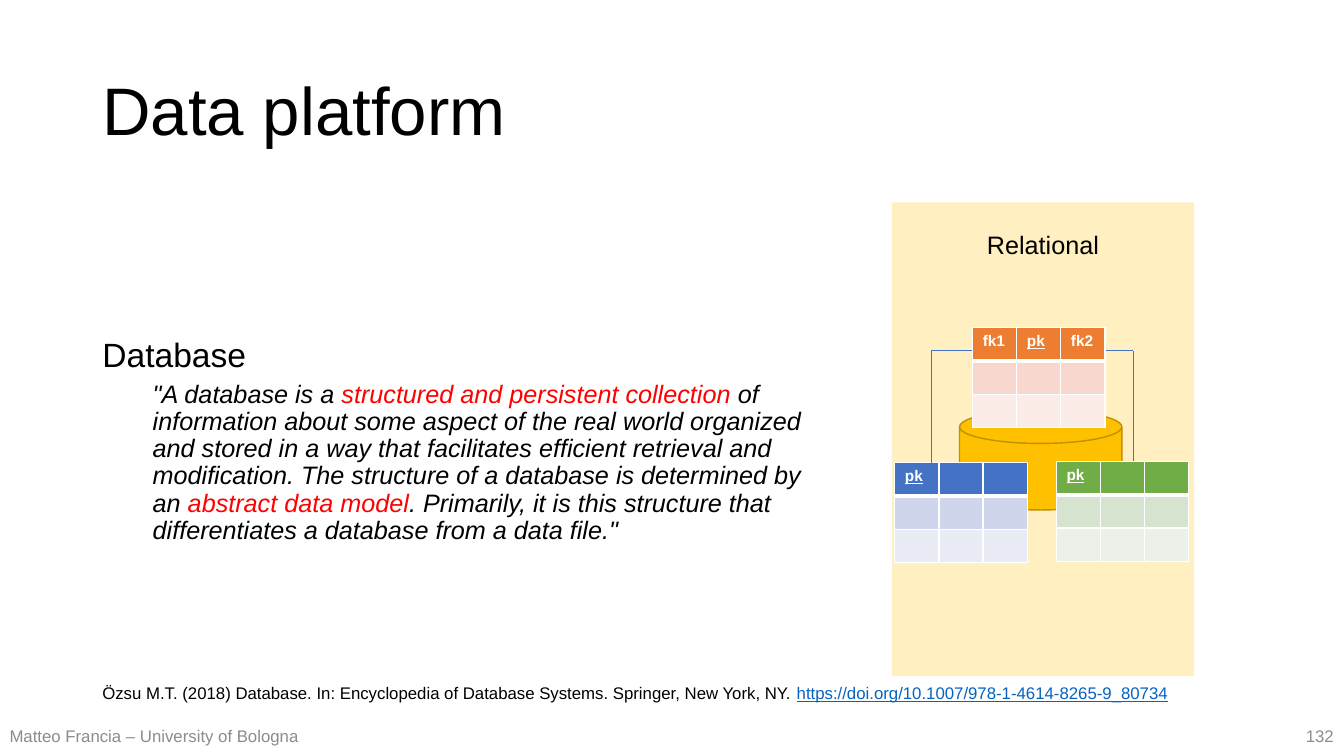
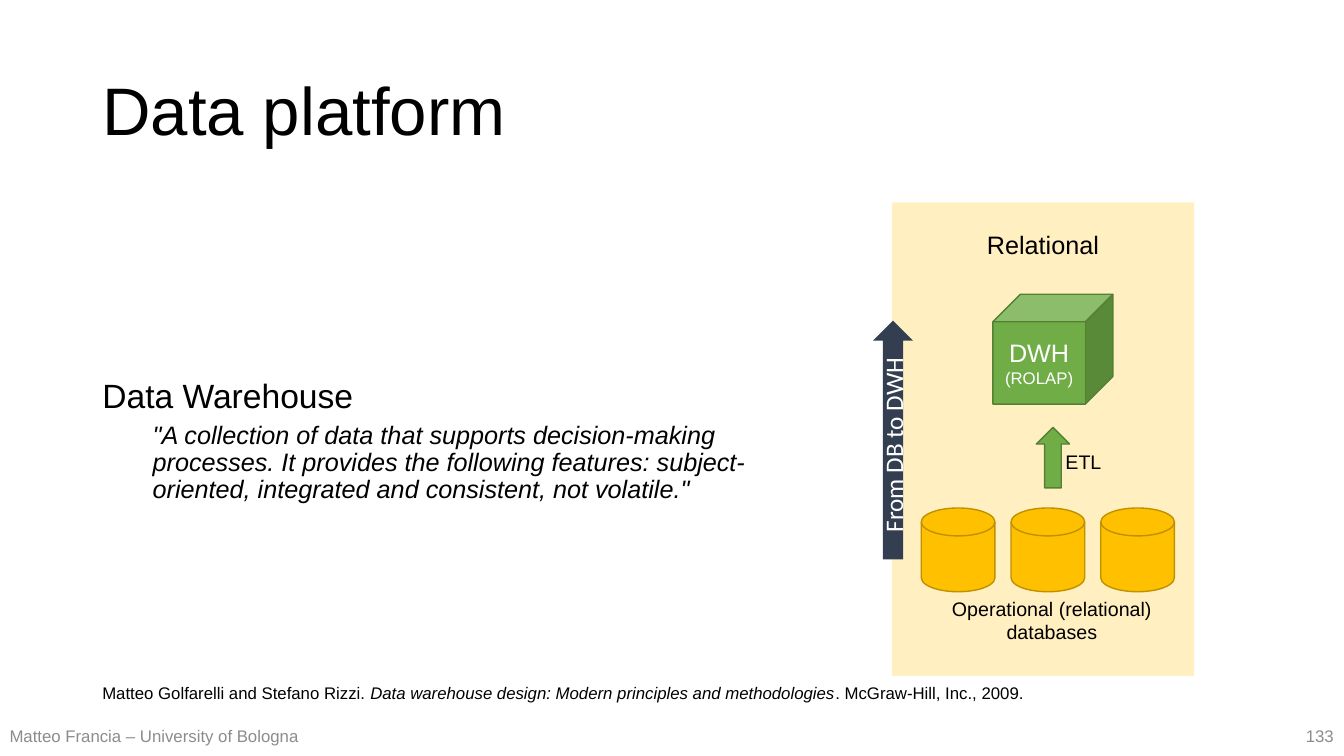
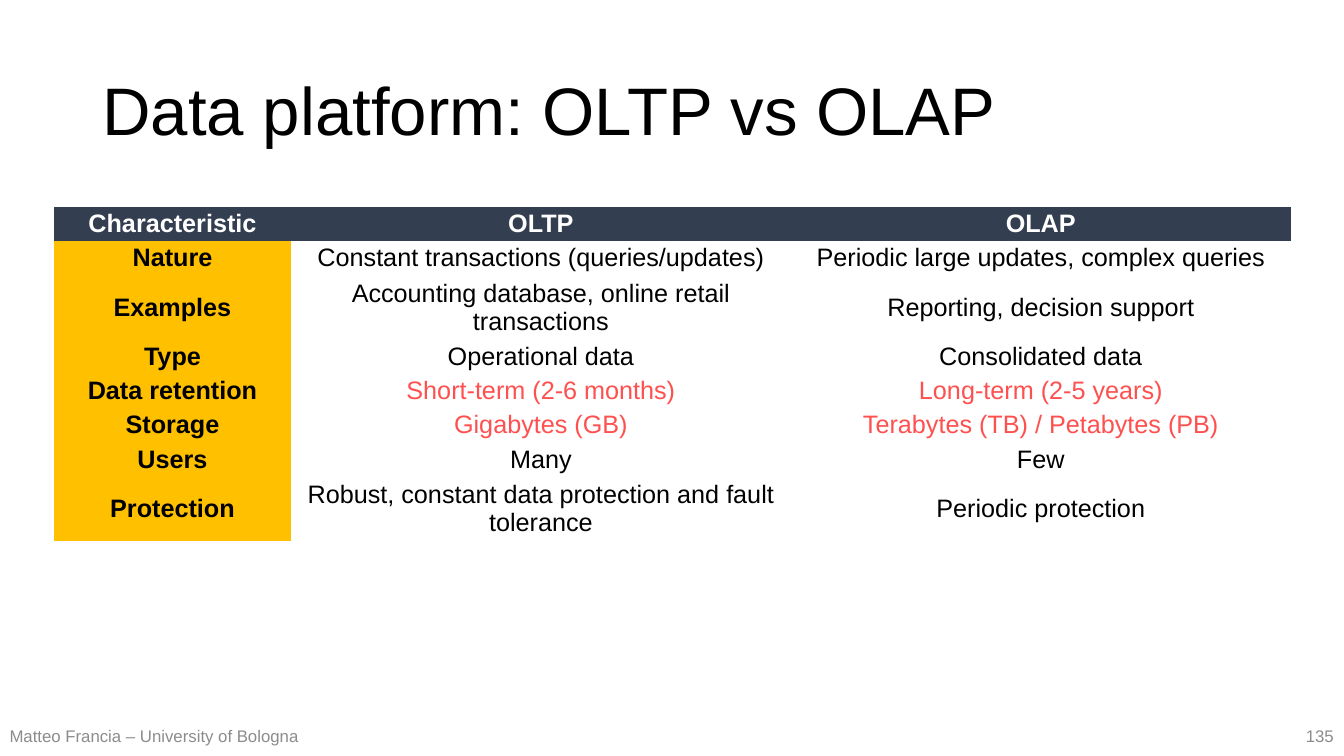
from lxml.etree import SubElement
from pptx import Presentation
from pptx.dml.color import RGBColor
from pptx.enum.shapes import MSO_CONNECTOR, MSO_SHAPE
from pptx.enum.text import MSO_ANCHOR, MSO_AUTO_SIZE, PP_ALIGN
from pptx.oxml.ns import qn
from pptx.util import Pt

# Shared look
FONT = "Arial"
BLACK, WHITE, GREY = "000000", "FFFFFF", "8C8C8C"
RED, CORAL, LINK = "FF0000", "FF5050", "0563C1"
NAVY, GOLD, OCHRE = "333F50", "FFC000", "BF9000"
GREEN, MOSS, BLUE, SAND = "70AD47", "538035", "4472C4", "FFD966"
SIDES = {"l": PP_ALIGN.LEFT, "c": PP_ALIGN.CENTER, "r": PP_ALIGN.RIGHT}
LEVELS = {"t": MSO_ANCHOR.TOP, "m": MSO_ANCHOR.MIDDLE}
NO_GRID = "{2D5ABB26-0587-4C30-8999-92F81FD0307C}"
TITLE = (66, 28.8, 828, 104.4)
BODY = (66, 144, 529.2, 342.7)
CITE = (66, 481.7, 828, 28.8)
PANEL = (637, 144.5, 216, 338.4)
AUTHOR = "Matteo Francia – University of Bologna"

# Content: a paragraph is a list of runs, a run is text or (text, format)
DATABASE = [
    '"A database is a ',
    ("structured and persistent collection", {"color": RED}),
    " of information about some aspect of the real world organized and stored "
    "in a way that facilitates efficient retrieval and modification. The "
    "structure of a database is determined by an ",
    ("abstract data model", {"color": RED}),
    ". Primarily, it is this structure that differentiates a database from a "
    'data file."',
]
WAREHOUSE = [
    '"A collection of data that supports decision-making processes. It '
    "provides the following features: subject-oriented, integrated and "
    'consistent, not volatile."',
]
OZSU = [
    "Özsu M.T. (2018) Database. In: Encyclopedia of Database Systems. "
    "Springer, New York, NY. ",
    ("https://doi.org/10.1007/978-1-4614-8265-9_80734",
     {"color": LINK, "line": True}),
]
RIZZI = [
    "Matteo Golfarelli and Stefano Rizzi. ",
    ("Data warehouse design: Modern principles and methodologies",
     {"italic": True}),
    ". McGraw-Hill, Inc., 2009.",
]
# Small tables: left, top, header texts, fills of the three rows
FACT = (694.8, 234, ["fk1", "pk", "fk2"], ["ED7D31", "F8D7CE", "FCECE8"])
DIMS = [
    (639.2, 330.6, ["pk", "", ""], [BLUE, "CFD5EA", "E9EBF5"]),
    (754.6, 329.6, ["pk", "", ""], [GREEN, "D5E3CF", "EBF1E9"]),
]
CELL, ROW = 31.5, 23.8
VERSUS = [
    ("Characteristic", "OLTP", "OLAP"),
    ("Nature", "Constant transactions (queries/updates)",
     "Periodic large updates, complex queries"),
    ("Examples", "Accounting database, online retail transactions",
     "Reporting, decision support"),
    ("Type", "Operational data", "Consolidated data"),
    ("Data retention", "Short-term (2-6 months)", "Long-term (2-5 years)"),
    ("Storage", "Gigabytes (GB)", "Terabytes (TB) / Petabytes (PB)"),
    ("Users", "Many", "Few"),
    ("Protection", "Robust, constant data protection and fault tolerance",
     "Periodic protection"),
]
WIDTHS = [169.2, 357.1, 357.1]
TALL = {"Examples", "Protection"}
STRESS = {"Data retention", "Storage"}


def paint(hue):
    return RGBColor.from_string(hue)


def write(frame, paras, size=18, color=BLACK, font=FONT, bold=False,
          italic=False, line=False, side="l", level="m", space=None, wrap=True):
    """Fill a text frame; a paragraph is a string, a run list, or (runs, format)."""
    frame.word_wrap = wrap
    frame.vertical_anchor = LEVELS[level]
    base = dict(size=size, color=color, font=font, bold=bold,
                italic=italic, line=line)
    for i, item in enumerate(paras):
        runs, own = item if isinstance(item, tuple) else (item, {})
        para = frame.add_paragraph() if i else frame.paragraphs[0]
        para.alignment = SIDES[side]
        para.line_spacing = space
        para.space_before = Pt(own.get("before", 0))
        if "indent" in own:
            props = para._p.get_or_add_pPr()
            props.set("marL", str(Pt(own["indent"])))
            props.set("indent", "0")
        for part in [runs] if isinstance(runs, str) else runs:
            words, more = part if isinstance(part, tuple) else (part, {})
            look = {**base, **own, **more}
            run = para.add_run()
            run.text = words
            run.font.name, run.font.size = look["font"], Pt(look["size"])
            run.font.bold, run.font.italic = look["bold"], look["italic"]
            run.font.underline = look["line"]
            run.font.color.rgb = paint(look["color"])


def label(slide, at, paras, **look):
    box = slide.shapes.add_textbox(*map(Pt, at))
    write(box.text_frame, paras, **look)


def draw(slide, kind, at, fill, edge=None):
    shape = slide.shapes.add_shape(kind, *map(Pt, at))
    shape.shadow.inherit = False
    shape.fill.solid()
    shape.fill.fore_color.rgb = paint(fill)
    if edge:
        shape.line.color.rgb = paint(edge)
        shape.line.width = Pt(1)
    else:
        shape.line.fill.background()
    return shape


def link(slide, x1, y1, x2, y2):
    wire = slide.shapes.add_connector(
        MSO_CONNECTOR.STRAIGHT, *map(Pt, (x1, y1, x2, y2)))
    wire.line.color.rgb = paint(BLUE)
    wire.line.width = Pt(0.5)
    SubElement(wire._element.spPr, qn("a:effectLst"))


def grid(slide, left, top, widths, heights):
    """Add a table without any built-in style."""
    table = slide.shapes.add_table(
        len(heights), len(widths),
        *map(Pt, (left, top, sum(widths), sum(heights)))).table
    table.first_row = table.horz_banding = False
    table._tbl.tblPr.find(qn("a:tableStyleId")).text = NO_GRID
    for col, wide in zip(table.columns, widths):
        col.width = Pt(wide)
    for row, high in zip(table.rows, heights):
        row.height = Pt(high)
    return table


def border(cell, **widths):
    props = cell._tc.get_or_add_tcPr()
    for edge, wide in widths.items():
        rule = SubElement(props, qn("a:ln" + edge), w=str(Pt(wide)))
        SubElement(SubElement(rule, qn("a:solidFill")),
                   qn("a:srgbClr"), val=WHITE)


def shade(cell, hue):
    cell.fill.solid()
    cell.fill.fore_color.rgb = paint(hue)


def small(slide, left, top, heads, fills):
    table = grid(slide, left, top, [CELL] * 3, [ROW] * 3)
    for r, hue in enumerate(fills):
        for c, head in enumerate(heads):
            cell = table.cell(r, c)
            border(cell, L=1, R=1, T=1 if r != 1 else 3, B=1 if r else 3)
            shade(cell, hue)
            if head and r == 0:
                write(cell.text_frame, [head], size=11, color=WHITE,
                      bold=True, line=head == "pk", level="t")
            else:
                end = cell.text_frame.paragraphs[0]._p.get_or_add_endParaRPr()
                end.set("sz", "1100")


def page(deck, title, number):
    slide = deck.slides.add_slide(deck.slide_layouts[5])
    head = slide.shapes.title
    head.left, head.top, head.width, head.height = map(Pt, TITLE)
    head.text_frame.auto_size = MSO_AUTO_SIZE.NONE
    write(head.text_frame, [title], size=48, space=0.9)
    foot = dict(size=12, color=GREY)
    label(slide, (-1.4, 511.2, 223.2, 28.8), [AUTHOR], side="c", **foot)
    label(slide, (743.8, 511.2, 216, 28.8), [str(number)], side="r", **foot)
    return slide


def define(slide, term, quote, cite):
    """Term with its quotation, the source line and the tinted panel."""
    label(slide, BODY, [
        (term, {"size": 24}),
        (quote, {"italic": True, "indent": 36, "before": 5}),
    ], space=0.9)
    label(slide, CITE, [cite], size=12, space=0.9)
    panel = draw(slide, MSO_SHAPE.RECTANGLE, PANEL, SAND)
    tint = panel._element.spPr.find(".//" + qn("a:srgbClr"))
    SubElement(tint, qn("a:alpha"), val="40000")
    panel.text_frame.margin_top = Pt(19)
    write(panel.text_frame, ["Relational"], side="c", level="t")


def disk(slide, *at):
    draw(slide, MSO_SHAPE.FLOWCHART_MAGNETIC_DISK, at, GOLD, OCHRE)


def base(deck):
    slide = page(deck, "Data platform", 132)
    define(slide, "Database", DATABASE, OZSU)
    disk(slide, 685.4, 293, 115.9, 71.3)
    for dim in DIMS:
        small(slide, *dim)
    # Key links from the fact table to the two others
    bend = 250.6
    ends = (FACT[0], FACT[0] + 3 * CELL)
    for x, end, dim in zip((665.3, 809.3), ends, DIMS):
        link(slide, x, bend, x, dim[1])
        link(slide, x, bend, end, bend)
    small(slide, *FACT)


def house(deck):
    slide = page(deck, "Data platform", 133)
    define(slide, "Data Warehouse", WAREHOUSE, RIZZI)
    for i in range(3):
        disk(slide, 658.1 + 64.1 * i, 362.9, 52.6, 59.8)
    label(slide, (672.5, 422.6, 157.7, 41),
          ["Operational (relational)", "databases"],
          size=14, side="c", level="t", wrap=False)
    draw(slide, MSO_SHAPE.UP_ARROW, (740.2, 305.3, 23.8, 43.2), GREEN, MOSS)
    cube = draw(slide, MSO_SHAPE.CUBE, (709.2, 210.2, 85.7, 78.5), GREEN, MOSS)
    write(cube.text_frame, ["DWH", ("(ROLAP)", {"size": 12})],
          color=WHITE, side="c")
    label(slide, (753.8, 318.2, 40.3, 24.5), ["ETL"],
          size=14, side="c", level="t", wrap=False)
    arrow = draw(slide, MSO_SHAPE.UP_ARROW, (623.5, 229, 28.8, 170.6), NAVY)
    write(arrow.text_frame, ["From DB to DWH"],
          color=WHITE, font="Calibri", side="c")
    arrow.text_frame._txBody.bodyPr.set("vert", "vert270")


def versus(deck):
    slide = page(deck, "Data platform: OLTP vs OLAP", 135)
    heights = [44.3 if row[0] in TALL else 23.6 for row in VERSUS]
    table = grid(slide, 38.6, 147.8, WIDTHS, heights)
    for r, row in enumerate(VERSUS):
        for c, words in enumerate(row):
            cell = table.cell(r, c)
            cell.margin_left = cell.margin_right = Pt(2.9)
            cell.margin_top = cell.margin_bottom = Pt(1.4)
            cell.vertical_anchor = MSO_ANCHOR.MIDDLE
            hue = BLACK
            if r == 0:
                shade(cell, NAVY)
                hue = WHITE
            elif c == 0:
                shade(cell, GOLD)
            elif row[0] in STRESS:
                hue = CORAL
            write(cell.text_frame, [words], color=hue,
                  bold=r == 0 or c == 0, side="c")
            cell.vertical_anchor = MSO_ANCHOR.MIDDLE


def main():
    deck = Presentation()
    deck.slide_width, deck.slide_height = Pt(960), Pt(540)
    for build in (base, house, versus):
        build(deck)
    deck.save("out.pptx")


if __name__ == "__main__":
    main()
